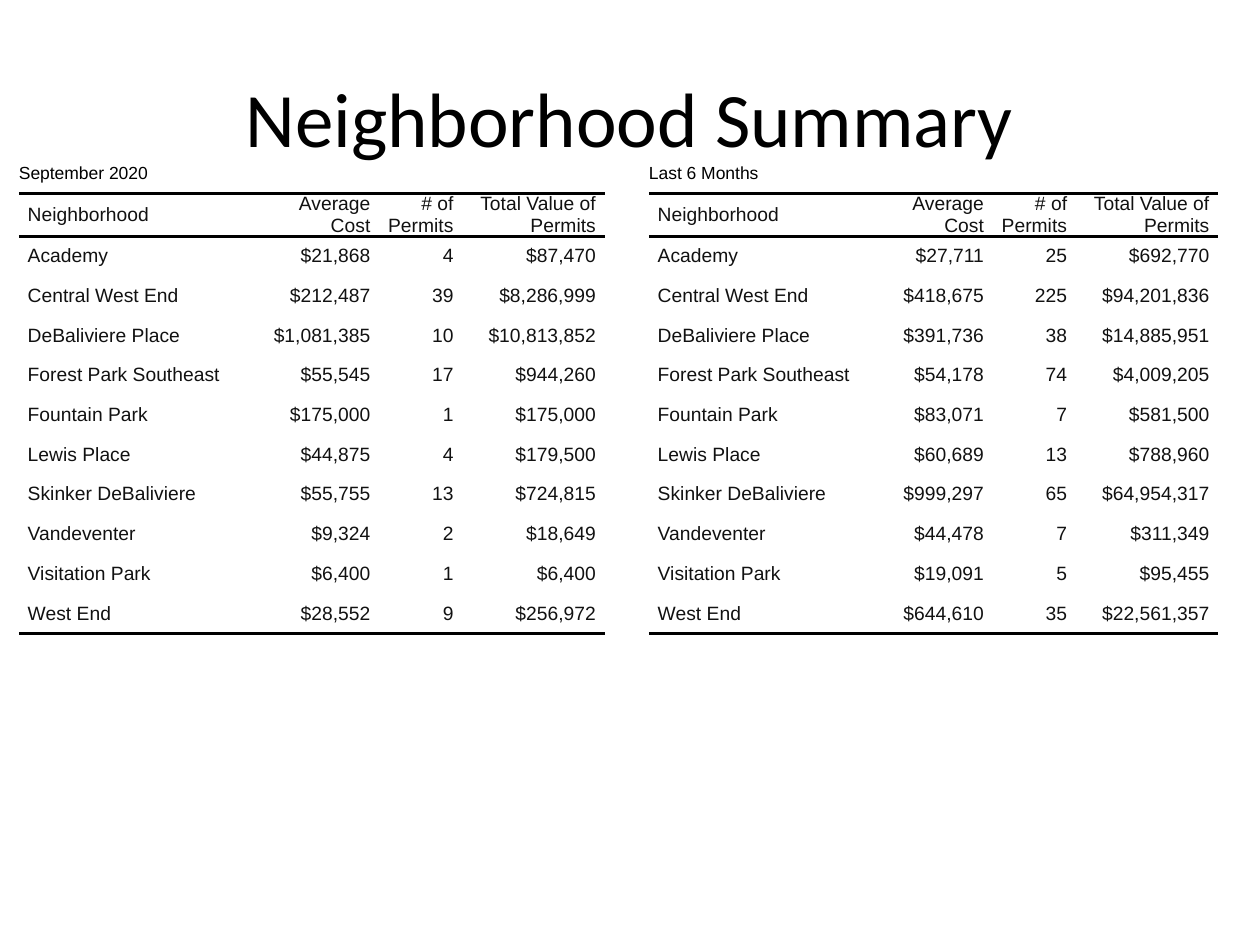
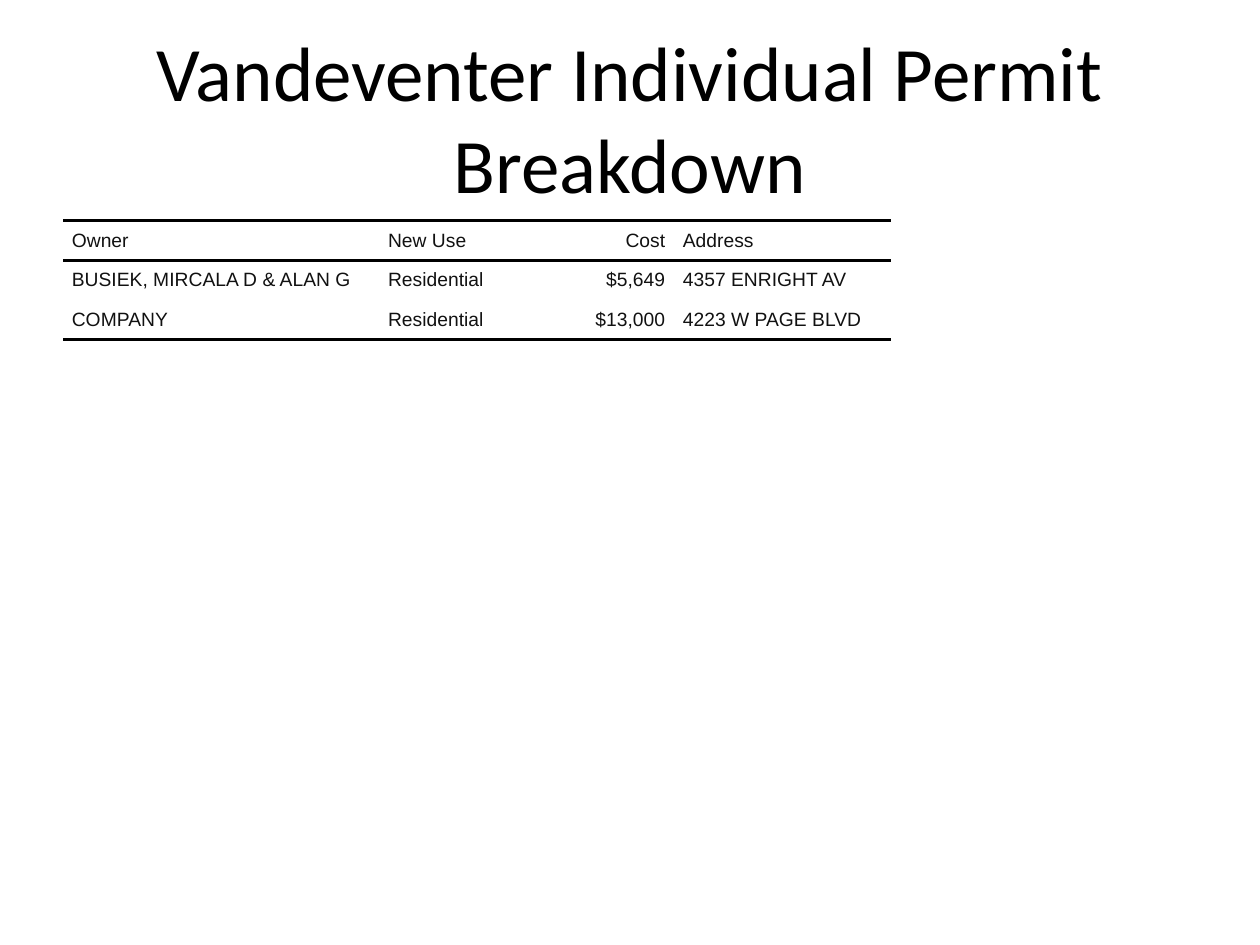
from lxml import etree
from pptx import Presentation
from pptx.enum import text
from pptx.dml.color import RGBColor
from pptx.oxml import ns
from pptx.util import Inches, Pt

HUES = {"rule": "000000", "title": "000000", "body": "111111"}
PLAIN = "{2D5ABB26-0587-4C30-8999-92F81FD0307C}"
COLS, ROWS = 100, 75
LINE = Pt(22.7)
PAD = Inches(0.07)
LEFT, MID, RIGHT = text.PP_ALIGN.LEFT, text.PP_ALIGN.CENTER, text.PP_ALIGN.RIGHT

HEADS = ["Neighborhood", "Average Cost", "# of Permits", "Total Value of Permits"]
AREAS = ["Academy", "Central West End", "DeBaliviere Place", "Forest Park Southeast",
         "Fountain Park", "Lewis Place", "Skinker DeBaliviere", "Vandeventer",
         "Visitation Park", "West End"]
MONTH = [(21868, 4, 87470), (212487, 39, 8286999), (1081385, 10, 10813852),
         (55545, 17, 944260), (175000, 1, 175000), (44875, 4, 179500),
         (55755, 13, 724815), (9324, 2, 18649), (6400, 1, 6400), (28552, 9, 256972)]
HALF = [(27711, 25, 692770), (418675, 225, 94201836), (391736, 38, 14885951),
        (54178, 74, 4009205), (83071, 7, 581500), (60689, 13, 788960),
        (999297, 65, 64954317), (44478, 7, 311349), (19091, 5, 95455),
        (644610, 35, 22561357)]
PERMITS = [["Owner", "New Use", "Cost", "Address"],
           ["BUSIEK, MIRCALA D & ALAN G", "Residential", "$5,649", "4357 ENRIGHT AV"],
           ["COMPANY", "Residential", "$13,000", "4223 W PAGE BLVD"]]


class Deck:
    def __init__(self):
        self.prs = Presentation()
        self.prs.slide_width, self.prs.slide_height = Inches(10), Inches(7.5)
        self.slide = None

    def across(self, cols):
        return int(self.prs.slide_width * cols / COLS)

    def down(self, rows):
        return int(self.prs.slide_height * rows / ROWS)

    def style(self, par, font, size, hue, align):
        par.alignment = align
        for run in par.runs:
            run.font.name, run.font.size = font, Pt(size)
            run.font.color.rgb = RGBColor.from_string(HUES[hue])

    def page(self, title):
        self.slide = self.prs.slides.add_slide(self.prs.slide_layouts[5])
        box = self.slide.shapes.title
        box.left, box.top = self.across(5), self.down(3)
        box.width, box.height = self.across(90), self.down(12.5)
        box.text_frame.text = title
        box.text_frame.vertical_anchor = text.MSO_ANCHOR.MIDDLE
        self.style(box.text_frame.paragraphs[0], "Calibri", 44, "title", MID)

    def rule(self, cell, side):
        props = cell._tc.get_or_add_tcPr()
        line = etree.SubElement(props, ns.qn(f"a:ln{side}"), w=str(Pt(2)))
        fill = etree.SubElement(line, ns.qn("a:solidFill"))
        etree.SubElement(fill, ns.qn("a:srgbClr"), val=HUES["rule"])

    def cell(self, cell, words, align, sides=""):
        self.blank(cell)
        cell.text_frame.text = words
        par = cell.text_frame.paragraphs[0]
        props = par._p.get_or_add_pPr()
        props.set("marL", str(PAD))
        props.set("marR", str(PAD))
        par.space_after = Pt(2)
        self.style(par, "Arial", 11, "body", align)
        for side in sides:
            self.rule(cell, side)
        cell.fill.background()

    def blank(self, cell):
        cell.margin_left = cell.margin_right = cell.margin_top = cell.margin_bottom = 0
        cell.vertical_anchor = text.MSO_ANCHOR.MIDDLE

    def table(self, left, top, widths, data, aligns, label=None):
        skip = 1 if label else 0
        count = len(data) + skip
        frame = self.slide.shapes.add_table(
            count, len(widths), self.across(left), self.down(top),
            self.across(sum(widths)), LINE * count)
        table = frame.table
        table.first_row = table.horz_banding = False
        table._tbl.tblPr.find(ns.qn("a:tableStyleId")).text = PLAIN
        for col, width in zip(table.columns, widths):
            col.width = self.across(width)
        for row in table.rows:
            row.height = LINE
        if label:
            head = table.cell(0, 0)
            head.merge(table.cell(0, len(widths) - 1))
            self.blank(head)
            head.text_frame.text = label
            self.style(head.text_frame.paragraphs[0], "Arial", 10, "title", LEFT)
            head.fill.background()
        for r, row in enumerate(data):
            sides = "TB" if r == 0 else "B" if r == len(data) - 1 else ""
            for c, (words, align) in enumerate(zip(row, aligns)):
                self.cell(table.cell(r + skip, c), words, align, sides)


def summary(stats):
    return [HEADS] + [[area, f"${cost:,}", str(count), f"${total:,}"]
                      for area, (cost, count, total) in zip(AREAS, stats)]


def main():
    deck = Deck()
    deck.page("Neighborhood Summary")
    for left, cost, label, stats in [(1.5, 10.5, "September 2020", MONTH),
                                     (51.5, 9.2, "Last 6 Months", HALF)]:
        deck.table(left, 12.2, [18.1, cost, 6.6, 11.3], summary(stats),
                   [LEFT, RIGHT, RIGHT, RIGHT], label)
    deck.page("Vandeventer Individual Permit Breakdown")
    deck.table(5, 17.5, [25.1, 10.4, 13, 17.2], PERMITS, [LEFT, LEFT, RIGHT, LEFT])
    deck.prs.save("out.pptx")


if __name__ == "__main__":
    main()
